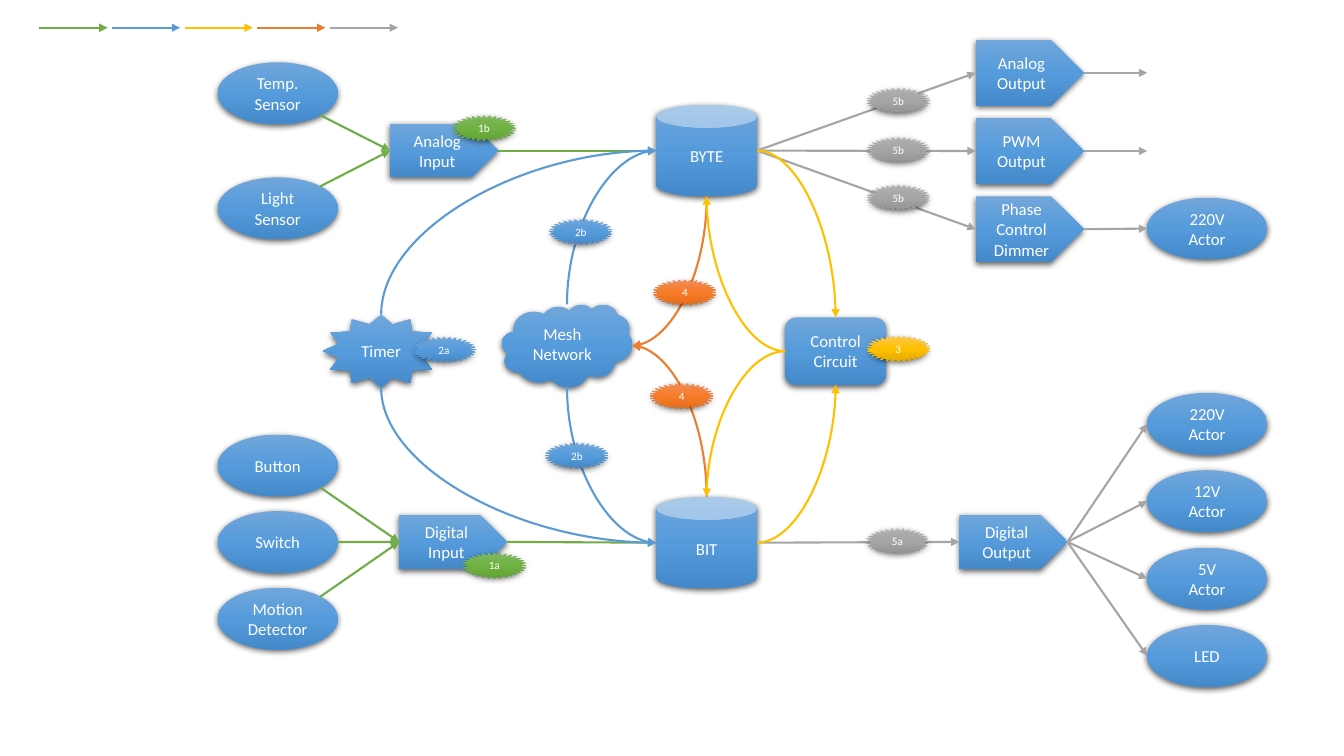
import pptx
import pptx.dml.color
import pptx.enum.shapes
import pptx.enum.text
import pptx.oxml
import pptx.oxml.ns
import pptx.util

Cm = pptx.util.Cm
Pt = pptx.util.Pt
SHAPE = pptx.enum.shapes.MSO_SHAPE
LINE = pptx.enum.shapes.MSO_CONNECTOR
NAMESPACE = pptx.oxml.ns.nsdecls("a")

LINE_COLORS = {"green": "70AD47", "blue": "5B9BD5", "yellow": "FFC000",
               "orange": "ED7D31", "gray": "A5A5A5"}
GRADIENTS = {"green": ("81B861", "6FB242", "62A336"),
             "blue": ("71A6DB", "559BDB", "448ACA"),
             "yellow": ("FFC64B", "FFC000", "E3AB00"),
             "orange": ("F18C57", "F67B28", "E56C19"),
             "gray": ("AFAFAF", "A5A5A5", "939393")}
TEXT_COLOR = pptx.dml.color.RGBColor.from_string("FFFFFF")

deck = pptx.Presentation()
deck.slide_width, deck.slide_height = Cm(33.87), Cm(19.05)
page = deck.slides.add_slide(deck.slide_layouts[6])


def add_node(kind, place, text, color, size):
    """Add a shaded shape with centred text; place is in centimetres."""
    node = page.shapes.add_shape(kind, *[Cm(length) for length in place])
    stops = "".join(
        f'<a:gs pos="{50000 * index}"><a:srgbClr val="{value}"/></a:gs>'
        for index, value in enumerate(GRADIENTS[color]))
    properties = node._element.spPr
    properties.append(pptx.oxml.parse_xml(
        f'<a:gradFill {NAMESPACE} rotWithShape="1"><a:gsLst>{stops}</a:gsLst>'
        '<a:lin ang="5400000" scaled="0"/></a:gradFill>'))
    properties.append(pptx.oxml.parse_xml(
        f'<a:effectLst {NAMESPACE}><a:outerShdw blurRad="57150" dist="19050" '
        'dir="5400000" algn="ctr" rotWithShape="0"><a:srgbClr val="000000">'
        '<a:alpha val="63000"/></a:srgbClr></a:outerShdw></a:effectLst>'))
    node.line.fill.background()
    frame = node.text_frame
    frame.text = text
    frame.word_wrap = True
    frame.vertical_anchor = pptx.enum.text.MSO_ANCHOR.MIDDLE
    for para in frame.paragraphs:
        para.alignment = pptx.enum.text.PP_ALIGN.CENTER
        para.font.name = "Calibri"
        para.font.size = Pt(size)
        para.font.color.rgb = TEXT_COLOR


def add_arrow(color, start, end, curved=False, leaves_vertically=False):
    """Add an arrow between two points; a curve makes one quarter turn."""
    (x1, y1), (x2, y2) = start, end
    if leaves_vertically:
        # The frame is laid out a quarter turn back, then rotated into place.
        mid_x, mid_y = (x1 + x2) / 2, (y1 + y2) / 2
        half_x, half_y = (x2 - x1) / 2, (y2 - y1) / 2
        x1, y1 = mid_x - half_y, mid_y + half_x
        x2, y2 = mid_x + half_y, mid_y - half_x
    arrow = page.shapes.add_connector(
        LINE.CURVE if curved else LINE.STRAIGHT, Cm(x1), Cm(y1), Cm(x2), Cm(y2))
    arrow.line.color.rgb = pptx.dml.color.RGBColor.from_string(LINE_COLORS[color])
    arrow.line.width = Pt(1.5)
    properties = arrow._element.spPr
    if curved:
        properties.prstGeom.set("prst", "curvedConnector2")
    if leaves_vertically:
        properties.xfrm.set("rot", "5400000")
    properties.ln.append(pptx.oxml.parse_xml(f'<a:tailEnd {NAMESPACE} type="triangle"/>'))
    properties.append(pptx.oxml.parse_xml(f"<a:effectLst {NAMESPACE}/>"))


# Nodes: shape, (left, top, width, height), text
OVAL = (3.02, 1.56)
PORT = (2.72, 1.35)
OUTPUT = (2.72, 1.65)
STORE = (2.54, 2.31)
nodes = {
    "temperature": (SHAPE.OVAL, (5.49, 1.57, *OVAL), "Temp. Sensor"),
    "light": (SHAPE.OVAL, (5.49, 4.47, *OVAL), "Light Sensor"),
    "analog input": (SHAPE.PENTAGON, (9.83, 3.12, *PORT), "Analog Input"),
    "digital input": (SHAPE.PENTAGON, (10.06, 12.98, *PORT), "Digital Input"),
    "digital output": (SHAPE.PENTAGON, (24.18, 12.98, *PORT), "Digital Output"),
    "mesh": (SHAPE.CLOUD, (12.65, 7.67, 3.28, 2.08), "Mesh\nNetwork"),
    "timer": (SHAPE.STAR_12_POINT, (8.13, 7.92, 2.95, 1.85), "Timer"),
    "byte": (SHAPE.CAN, (16.54, 2.64, *STORE), "BYTE"),
    "bit": (SHAPE.CAN, (16.54, 12.52, *STORE), "BIT"),
    "control": (SHAPE.FLOWCHART_ALTERNATE_PROCESS, (19.79, 8, 2.54, 1.7),
                "Control Circuit"),
    "dimmed actor": (SHAPE.OVAL, (28.91, 4.98, *OVAL), "220V\nActor"),
}
switches = ["Button", "Switch", "Motion Detector"]
outputs = ["Analog Output", "PWM Output", "Phase Control\nDimmer"]
actors = ["220V\nActor", "12V\nActor", "5V\nActor", "LED"]
for kind, left, top, step, size, texts in [
        (SHAPE.OVAL, 5.49, 10.95, 1.93, OVAL, switches),
        (SHAPE.PENTAGON, 24.59, 1.01, 1.97, OUTPUT, outputs),
        (SHAPE.OVAL, 28.91, 9.9, 1.95, OVAL, actors)]:
    for row, text in enumerate(texts):
        nodes[text] = (kind, (left, top + row * step, *size), text)
for kind, place, text in nodes.values():
    add_node(kind, place, text, "blue", 12)

# Arrows: colour, from, side, to, side
SIDES = {"left": (0, 0.5), "right": (1, 0.5), "top": (0.5, 0), "bottom": (0.5, 1),
         "upper right": (0.854, 0.146), "lower right": (0.854, 0.854)}
VERTICAL = ("top", "bottom")
links = [
    ("green", "temperature", "lower right", "analog input", "left"),
    ("green", "light", "upper right", "analog input", "left"),
    ("green", "Button", "lower right", "digital input", "left"),
    ("green", "Switch", "right", "digital input", "left"),
    ("green", "Motion Detector", "upper right", "digital input", "left"),
    ("green", "analog input", "right", "byte", "left"),
    ("green", "digital input", "right", "bit", "left"),
    ("blue", "mesh", "top", "byte", "left"),
    ("blue", "mesh", "bottom", "bit", "left"),
    ("blue", "timer", "top", "byte", "left"),
    ("blue", "timer", "bottom", "bit", "left"),
    ("orange", "byte", "bottom", "mesh", "right"),
    ("orange", "bit", "top", "mesh", "right"),
    *[("gray", "byte", "right", output, "left") for output in outputs],
    ("gray", "bit", "right", "digital output", "left"),
    *[("gray", "digital output", "right", actor, "left") for actor in actors[1:]],
    ("gray", "digital output", "right", actors[0], "left"),
    ("gray", outputs[2], "right", "dimmed actor", "left"),
    ("yellow", "control", "left", "byte", "bottom"),
    ("yellow", "byte", "right", "control", "top"),
    ("yellow", "control", "left", "bit", "top"),
    ("yellow", "bit", "right", "control", "bottom"),
]
# The digital output drives its own 220 V actor, listed last under that text.
for color, source, source_side, target, target_side in links:
    ends = []
    for name, side in ((source, source_side), (target, target_side)):
        left, top, width, height = nodes[name][1]
        across, down = SIDES[side]
        ends.append((left + across * width, top + down * height))
    add_arrow(color, *ends, curved=source_side in VERTICAL or target_side in VERTICAL,
              leaves_vertically=source_side in VERTICAL)

# Open outputs and the colour key
for output in outputs[:2]:
    left, top, width, height = nodes[output][1]
    middle = top + height / 2
    add_arrow("gray", (left + width, middle), (28.91, middle))
for column, color in enumerate(["green", "blue", "yellow", "orange", "gray"]):
    left = 0.99 + column * 1.83
    add_arrow(color, (left, 0.7), (left + 1.72, 0.7))

# Step badges: colour, text, left, top
for color, text, left, top in [
        ("green", "1a", 11.66, 13.92), ("green", "1b", 11.4, 2.9),
        ("blue", "2a", 10.39, 8.48), ("blue", "2b", 13.84, 5.51),
        ("blue", "2b", 13.74, 11.15), ("yellow", "3", 21.84, 8.46),
        ("orange", "4", 16.38, 9.65), ("orange", "4", 16.46, 7.04),
        ("gray", "5a", 21.82, 13.31), ("gray", "5b", 21.84, 2.21),
        ("gray", "5b", 21.84, 3.45), ("gray", "5b", 21.84, 4.65)]:
    add_node(SHAPE.STAR_32_POINT, (left, top, 1.6, 0.66), text, color, 8)

deck.save("out.pptx")
